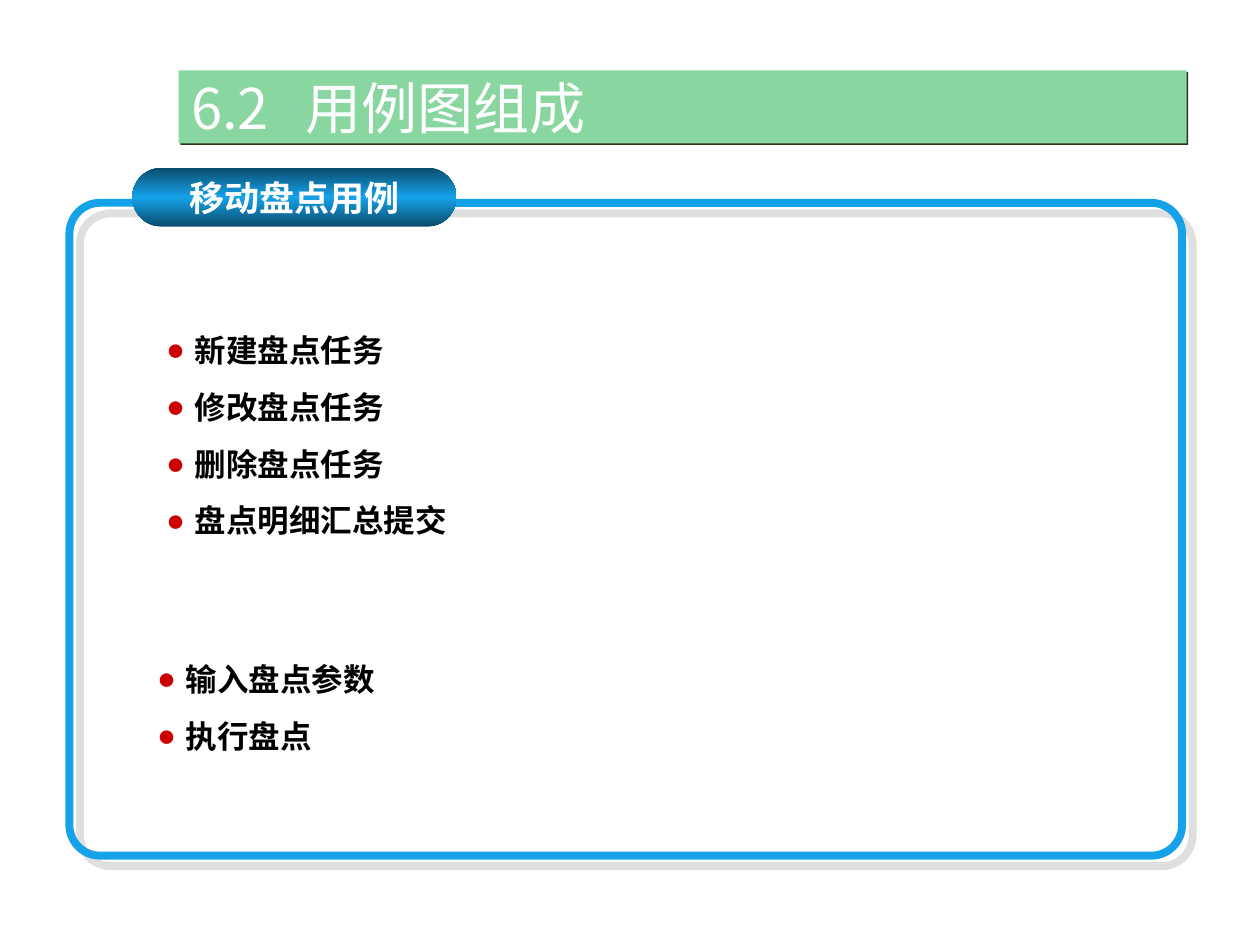
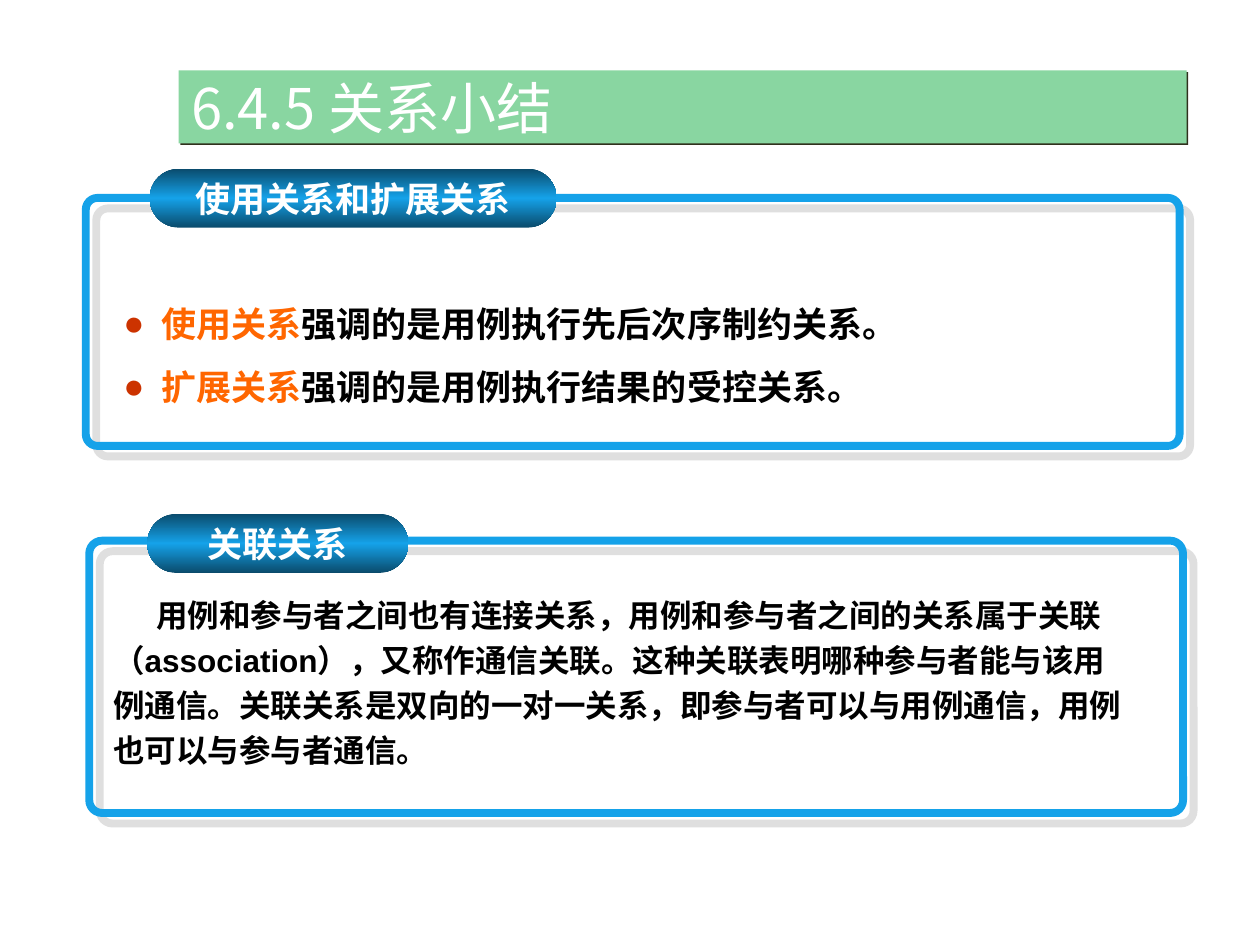
from lxml import etree
from pptx import Presentation
from pptx import util as u
from pptx.dml.color import RGBColor
from pptx.enum import shapes, text
from pptx.oxml.ns import qn

BLUE, NAVY, GREEN = "15A2E9", "0A4B6C", "89D6A1"
WHITE, BLACK, ORANGE = "FFFFFF", "000000", "FF6600"
BODY_FONT, PILL_FONT, TITLE_FONT = "Arial", "Noto Sans CJK SC", "Noto Sans CJK JP"
PILL_HEIGHT = 1.19


def colour(code):
    return RGBColor.from_string(code)


def child(parent, tag, **attributes):
    element = etree.SubElement(parent, qn(tag))
    for name, value in attributes.items():
        element.set(name, str(value))
    return element


def lengths(place):
    return [u.Cm(value) for value in place]


def add_span(para, words, font, size, code=BLACK, bold=True):
    span = para.add_run()
    span.text = words
    span.font.name = font
    span.font.size = u.Pt(size)
    span.font.bold = bold
    span.font.color.rgb = colour(code)
    child(span.font._element, "a:ea", typeface=font)


def add_shadow(shape, code, alpha, distance):
    shape.shadow.inherit = False
    effects = shape._element.spPr.find(qn("a:effectLst"))
    shadow = child(effects, "a:outerShdw", blurRad=0, dist=u.Pt(distance),
                   dir=45 * 60000, algn="ctr", rotWithShape=0)
    tint = child(shadow, "a:srgbClr", val=code)
    child(tint, "a:alpha", val=alpha * 1000)


def add_page(deck, title, tab=None):
    page = deck.slides.add_slide(deck.slide_layouts[5])
    band = page.shapes.title
    band.left, band.top, band.width, band.height = lengths((3.6, 1.42, 20.32, 1.47))
    band.fill.solid()
    band.fill.fore_color.rgb = colour(GREEN)
    add_shadow(band, "30311D", 100, 1.4)
    frame = band.text_frame
    frame.auto_size = text.MSO_AUTO_SIZE.NONE
    frame.vertical_anchor = text.MSO_ANCHOR.MIDDLE
    para = frame.paragraphs[0]
    para.alignment = text.PP_ALIGN.LEFT
    if tab:
        stops = child(para._p.get_or_add_pPr(), "a:tabLst")
        child(stops, "a:tab", pos=u.Cm(tab), algn="l")
    add_span(para, title, TITLE_FONT, 32, WHITE, bold=False)
    return page


def add_round_box(page, place, rounding):
    box = page.shapes.add_shape(shapes.MSO_SHAPE.ROUNDED_RECTANGLE, *lengths(place))
    box.adjustments[0] = rounding
    box.shadow.inherit = False
    return box


def add_panel(page, place):
    panel = add_round_box(page, place, 0.047)
    panel.fill.background()
    panel.line.color.rgb = colour(BLUE)
    panel.line.width = u.Pt(4.5)
    add_shadow(panel, "C0C0C0", 50, 8.5)


def add_pill(page, label, left, top, width):
    pill = add_round_box(page, (left, top, width, PILL_HEIGHT), 0.5)
    pill.line.fill.background()
    pill.fill.gradient()
    pill.fill.gradient_angle = 90
    stops = pill._element.spPr.find(".//" + qn("a:gsLst"))
    for stop in list(stops):
        stops.remove(stop)
    for percent, code in ((0, NAVY), (50, BLUE), (100, NAVY)):
        child(child(stops, "a:gs", pos=percent * 1000), "a:srgbClr", val=code)
    frame = pill.text_frame
    frame.word_wrap = False
    frame.vertical_anchor = text.MSO_ANCHOR.MIDDLE
    para = frame.paragraphs[0]
    para.alignment = text.PP_ALIGN.CENTER
    add_span(para, label, PILL_FONT, 20, WHITE)


def add_text(page, place, paragraphs, size=18, leading=32.4, margin=0.0, indent=0.0,
             bullet=None, anchor=text.MSO_ANCHOR.TOP):
    box = page.shapes.add_textbox(*lengths(place))
    frame = box.text_frame
    frame.word_wrap = True
    frame.auto_size = text.MSO_AUTO_SIZE.SHAPE_TO_FIT_TEXT
    frame.vertical_anchor = anchor
    for index, spans in enumerate(paragraphs):
        para = frame.add_paragraph() if index else frame.paragraphs[0]
        para.line_spacing = u.Pt(leading)
        properties = para._p.get_or_add_pPr()
        properties.set("marL", str(u.Cm(margin)))
        properties.set("indent", str(u.Cm(indent)))
        if bullet:
            child(child(properties, "a:buClr"), "a:srgbClr", val=bullet)
            child(properties, "a:buFont", typeface=BODY_FONT)
            child(properties, "a:buChar", char="●")
        for words, code in spans:
            add_span(para, words, BODY_FONT, size, code)


def add_use_cases(deck):
    page = add_page(deck, "6.2\t用例图组成", tab=2.3)
    task_cases = ["新建盘点任务", "修改盘点任务", "删除盘点任务", "盘点明细汇总提交"]
    count_cases = ["输入盘点参数", "执行盘点"]
    add_panel(page, (1.4, 4.09, 22.43, 13.16))
    add_pill(page, "移动盘点用例", 2.67, 3.38, 6.53)
    for place, cases in (((3.1, 6.17, 7.98, 4.83), task_cases),
                         ((2.92, 12.8, 7.98, 2.54), count_cases)):
        add_text(page, place, [[(case, BLACK)] for case in cases],
                 margin=0.58, indent=-0.58, bullet="CC0000")


def add_relations(deck):
    page = add_page(deck, "6.4.5 关系小结")
    add_panel(page, (1.73, 3.99, 22.05, 5))
    add_pill(page, "使用关系和扩展关系", 3.02, 3.4, 8.2)
    relations = [
        [("使用关系", ORANGE), ("强调的是用例执行先后次序制约关系。", BLACK)],
        [("扩展关系", ORANGE), ("强调的是用例执行结果的受控关系。", BLACK)],
    ]
    add_text(page, (2.24, 5.54, 20.9, 2.79), relations, size=20, leading=36,
             margin=0.76, indent=-0.76, bullet="CC3300", anchor=text.MSO_ANCHOR.MIDDLE)

    add_panel(page, (1.8, 10.9, 22.05, 5.49))
    add_pill(page, "关联关系", 2.97, 10.36, 5.26)
    association = ("用例和参与者之间也有连接关系，用例和参与者之间的关系属于关联（association），"
                   "又称作通信关联。这种关联表明哪种参与者能与该用例通信。"
                   "关联关系是双向的一对一关系，即参与者可以与用例通信，用例也可以与参与者通信。")
    add_text(page, (2.03, 11.73, 20.9, 3.91), [[(association, BLACK)]],
             leading=25.8, indent=0.87, anchor=text.MSO_ANCHOR.MIDDLE)


def main():
    deck = Presentation()
    deck.slide_width, deck.slide_height = u.Cm(25.4), u.Cm(19.05)
    add_use_cases(deck)
    add_relations(deck)
    deck.save("out.pptx")


if __name__ == "__main__":
    main()
